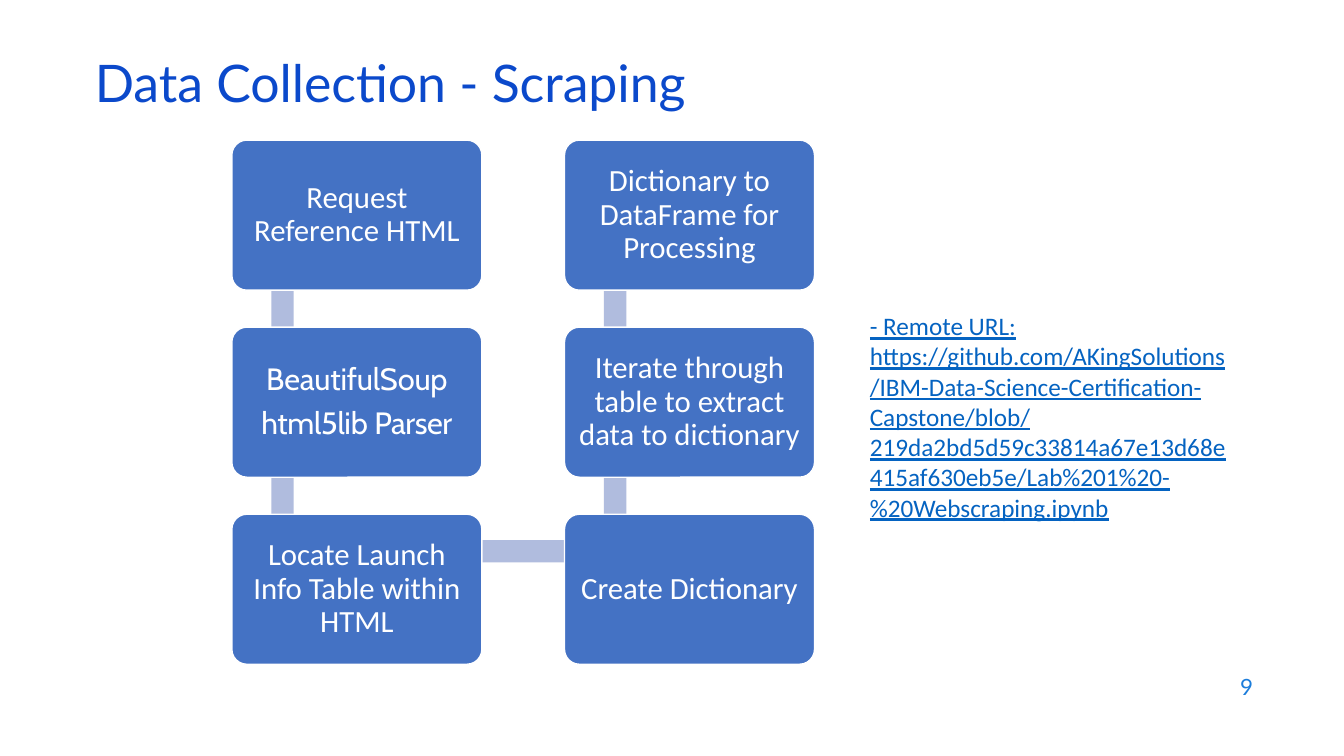
from pptx import Presentation
from pptx.dml.color import RGBColor
from pptx.enum import shapes, text
from pptx.util import Pt

COLORS = {"title": "0B49CB", "number": "1C7DDB", "box": "4472C4",
          "bar": "B0BCDE", "white": "FFFFFF", "link": "0563C1"}

# Each step: paragraphs of (text, letter spacing in hundredths of a point)
COLUMNS = [
    [[[("Request Reference HTML", 0)]],
     [[("BeautifulSoup", -10)], [("html5lib ", -20), ("Parser", -30)]],
     [[("Locate Launch Info Table within HTML", 0)]]],
    [[[("Dictionary to DataFrame for Processing", 0)]],
     [[("Iterate through table to extract data to dictionary", 0)]],
     [[("Create Dictionary", 0)]]],
]
LINK = ("- Remote URL: https://github.com/AKingSolutions/"
        "IBM-Data-Science-Certification-Capstone/blob/"
        "219da2bd5d59c33814a67e13d68e415af630eb5e/"
        "Lab%201%20-%20Webscraping.ipynb")


def color(name):
    return RGBColor.from_string(COLORS[name])


def add_run(p, words, size, font, tint):
    r = p.add_run()
    r.text = words
    r.font.size = Pt(size)
    r.font.name = font
    r.font.color.rgb = color(tint)
    return r


def add_block(s, kind, x, y, w, h, fill):
    sp = s.shapes.add_shape(kind, Pt(x), Pt(y), Pt(w), Pt(h))
    sp.shadow.inherit = False
    sp.fill.solid()
    sp.fill.fore_color.rgb = color(fill)
    sp.line.fill.background()
    return sp


def add_title(s, x, y, w, h):
    sp = s.shapes.title
    sp.left, sp.top, sp.width, sp.height = Pt(x), Pt(y), Pt(w), Pt(h)
    tf = sp.text_frame
    tf.vertical_anchor = text.MSO_ANCHOR.MIDDLE
    p = tf.paragraphs[0]
    p.alignment = text.PP_ALIGN.LEFT
    p.line_spacing = 0.7
    add_run(p, "Data Collection - Scraping", 37, "Lato", "title")


def add_step(s, x, y, w, h, paragraphs):
    sp = add_block(s, shapes.MSO_SHAPE.ROUNDED_RECTANGLE, x, y, w, h, "box")
    sp.adjustments[0] = 0.1
    sp.line.color.rgb = color("white")
    sp.line.width = Pt(1)
    tf = sp.text_frame
    tf.word_wrap = True
    tf.vertical_anchor = text.MSO_ANCHOR.MIDDLE
    tf.margin_left = tf.margin_right = tf.margin_top = tf.margin_bottom = Pt(6.6)
    for i, runs in enumerate(paragraphs):
        p = tf.add_paragraph() if i else tf.paragraphs[0]
        p.alignment = text.PP_ALIGN.CENTER
        p.line_spacing = 0.9
        p.space_after = Pt(7.7)
        for words, spacing in runs:
            r = add_run(p, words, 22, "Cabin" if spacing else "Calibri", "white")
            if spacing:
                r.font._element.set("spc", str(spacing))


def add_flow(s, x, y, w, h):
    box_w, box_h, bar = 178.6, 107.2, 16
    step_x, step_y = w - box_w, (h - box_h) / 2
    rect = shapes.MSO_SHAPE.RECTANGLE
    # Bars run behind the boxes: down the columns, then across the bottom row
    for col in range(2):
        for row in range(2):
            add_block(s, rect, x + col * step_x + 28.2, y + row * step_y + 26.5,
                      bar, step_y, "bar")
    add_block(s, rect, x + 36.5, y + 2 * step_y + 18.5, step_x, bar, "bar")
    for col, steps in enumerate(COLUMNS):
        for row, paragraphs in enumerate(steps):
            add_step(s, x + col * step_x, y + row * step_y, box_w, box_h, paragraphs)


def add_text(s, x, y, w, h, words, size, font, tint):
    tf = s.shapes.add_textbox(Pt(x), Pt(y), Pt(w), Pt(h)).text_frame
    tf.word_wrap = True
    r = add_run(tf.paragraphs[0], words, size, font, tint)
    return tf, r


def add_link(s, x, y, w, h):
    tf, r = add_text(s, x, y, w, h, LINK, 18, "Calibri", "link")
    tf.auto_size = text.MSO_AUTO_SIZE.SHAPE_TO_FIT_TEXT
    r.font.underline = True


def add_number(s, x, y, w, h):
    tf, r = add_text(s, x, y, w, h, "9", 16, "Lato", "number")
    tf.vertical_anchor = text.MSO_ANCHOR.MIDDLE
    tf.paragraphs[0].alignment = text.PP_ALIGN.RIGHT


def main():
    prs = Presentation()
    prs.slide_width, prs.slide_height = Pt(960), Pt(540)
    s = prs.slides.add_slide(prs.slide_layouts[5])
    add_title(s, 60.5, 42.5, 828, 43.2)
    add_flow(s, 165.6, 100.1, 416.2, 374.4)
    add_link(s, 614.2, 218.2, 274.3, 138.2)
    add_number(s, 686.2, 474.5, 216, 31.7)
    prs.save("out.pptx")


if __name__ == "__main__":
    main()
